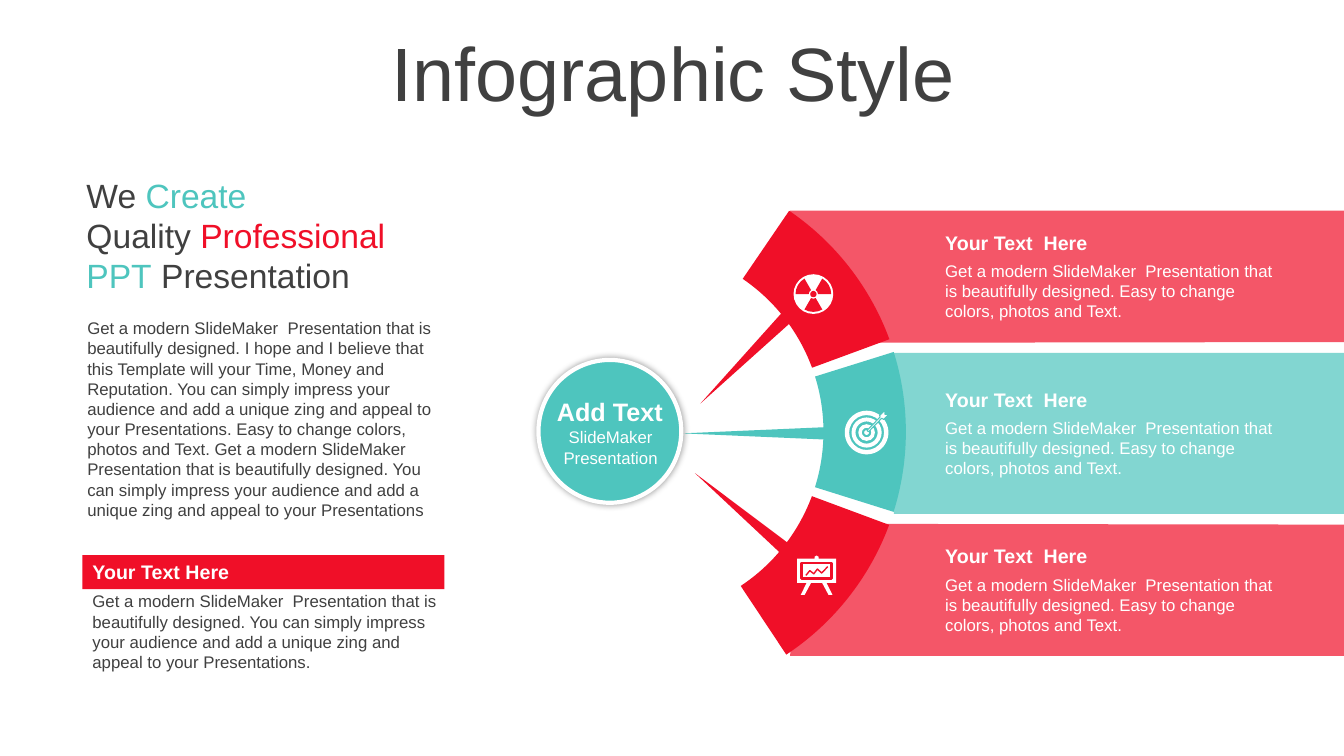
from dataclasses import dataclass
from math import cos, radians, sin

from lxml import etree
from pptx import Presentation
from pptx.dml.color import RGBColor
from pptx.enum.shapes import MSO_SHAPE
from pptx.enum.text import MSO_ANCHOR, PP_ALIGN
from pptx.oxml.ns import qn
from pptx.util import Cm, Pt

RECTANGLE, OVAL, DONUT = MSO_SHAPE.RECTANGLE, MSO_SHAPE.OVAL, MSO_SHAPE.DONUT
TRIANGLE, ARC = MSO_SHAPE.ISOSCELES_TRIANGLE, MSO_SHAPE.BLOCK_ARC
LEFT, CENTER = PP_ALIGN.LEFT, PP_ALIGN.CENTER
TOP, MIDDLE = MSO_ANCHOR.TOP, MSO_ANCHOR.MIDDLE


@dataclass(frozen=True)
class Theme:
    """Colours and type styles of the slide."""
    red: str = "F00F28"
    teal: str = "4EC5BE"
    ink: str = "404040"
    white: str = "FFFFFF"
    font: str = "Arial"
    title: int = 54
    headline: int = 24
    hub: int = 18
    heading: int = 14
    body: int = 12


THEME = Theme()
BAND_OPACITY = 70
SLIDE_WIDTH, SLIDE_HEIGHT = 33.87, 19.05
FAN_X, FAN_Y, FAN_RADIUS = 16.09, 10.88, 6.74

MODERN = "Get a modern SlideMaker  Presentation that is beautifully designed."
IMPRESS = ("You can simply impress your audience and add a unique zing "
           "and appeal to your Presentations")
EASY = "Easy to change colors, photos and Text."
STORY = (f"{MODERN} I hope and I believe that this Template will your Time, Money "
         f"and Reputation. {IMPRESS}. {EASY} {MODERN} {IMPRESS}")


def paint(shape, color, opacity=100):
    """Give a shape a flat fill without line or shadow."""
    shape.shadow.inherit = False
    shape.line.fill.background()
    shape.fill.solid()
    shape.fill.fore_color.rgb = RGBColor.from_string(color)
    if opacity < 100:
        tint = shape.fill._xPr.find(qn("a:solidFill"))[0]
        etree.SubElement(tint, qn("a:alpha"), val=str(opacity * 1000))
    return shape


def outline(shape, color, width):
    """Draw the outline of a shape."""
    shape.line.color.rgb = RGBColor.from_string(color)
    shape.line.width = Pt(width)


def preset(slide, kind, box, color, opacity=100):
    """Place a flat preset shape in a box."""
    shape = slide.shapes.add_shape(kind, *map(Cm, box))
    return paint(shape, color, opacity)


def disc(slide, kind, x, y, radius, color):
    """Place a round preset around a centre."""
    return preset(slide, kind, (x - radius, y - radius, 2 * radius, 2 * radius), color)


def arc(slide, x, y, radius, start, end, thickness, color):
    """Place a ring sector between two angles in degrees."""
    sector = disc(slide, ARC, x, y, radius, color)
    for index, value in enumerate((start * 0.6, end * 0.6, thickness)):
        sector.adjustments[index] = value


def outlined_path(slide, x, y, points, color, opacity=100, close=True):
    """Build a straight-edged outline from points relative to x, y."""
    first, *rest = [(Cm(x + dx), Cm(y + dy)) for dx, dy in points]
    builder = slide.shapes.build_freeform(*first)
    builder.add_line_segments(rest, close=close)
    return paint(builder.convert_to_shape(), color, opacity)


def write(frame, lines, size, color, bold=False, align=LEFT, anchor=TOP, spacing=1.0):
    """Fill a text frame with lines made of (text, colour) runs."""
    frame.word_wrap = True
    frame.vertical_anchor = anchor
    looks = {"name": THEME.font, "size": Pt(size), "bold": bold}
    for index, line in enumerate(lines):
        paragraph = frame.add_paragraph() if index else frame.paragraphs[0]
        paragraph.alignment, paragraph.line_spacing = align, spacing
        for words, tint in line:
            run = paragraph.add_run()
            run.text = words
            run.font.color.rgb = RGBColor.from_string(tint or color)
            for key, value in looks.items():
                setattr(run.font, key, value)


def label(slide, box, words, size, color, **options):
    """Add a one-paragraph text box."""
    frame = slide.shapes.add_textbox(*map(Cm, box)).text_frame
    write(frame, [[(words, None)]], size, color, **options)


def intro(slide, x, y):
    """Draw the left column: headline, story and captioned note."""
    headline = slide.shapes.add_textbox(Cm(x), Cm(y), Cm(9.2), Cm(3.07)).text_frame
    margins = {"margin_left": 0.1, "margin_right": 0.1, "margin_top": 0, "margin_bottom": 0}
    for key, value in margins.items():
        setattr(headline, key, Cm(value))
    write(headline, [[("We ", None), ("Create", THEME.teal)],
                     [("Quality ", None), ("Professional", THEME.red)],
                     [("PPT", THEME.teal), (" Presentation", None)]],
          THEME.headline, THEME.ink, anchor=MIDDLE)
    label(slide, (x - 0.13, y + 3.5, 9.2, 5.38), STORY, THEME.body, THEME.ink)
    label(slide, (x, y + 10.38, 9.2, 2.31), f"{MODERN} {IMPRESS}.", THEME.body, THEME.ink)
    caption = preset(slide, RECTANGLE, (x, y + 9.6, 9.12, 0.86), THEME.red)
    write(caption.text_frame, [[("Your Text Here", None)]],
          THEME.heading, THEME.white, bold=True)


def bands(slide, x, y):
    """Draw the three bands that run from the fan to the slide edge."""
    width = SLIDE_WIDTH - x
    for side in (-1, 1):
        corners = [(0, side * 5.61), (width, side * 5.61),
                   (width, side * 2.3), (0.36, side * 2.28)]
        outlined_path(slide, x, y, corners, THEME.red, BAND_OPACITY)
    preset(slide, RECTANGLE, (x + 2.62, y - 2.03, width - 2.62, 4.06),
           THEME.teal, BAND_OPACITY)


def spikes(slide):
    """Draw the pointers between the hub and the fan."""
    for x, y, length, angle, color in ((18.73, 9.09, 3.05, 225, THEME.red),
                                       (19.11, 10.92, 3.81, 270, THEME.teal),
                                       (18.68, 12.9, 3.05, 310, THEME.red)):
        box = (x - 0.165, y - length / 2, 0.33, length)
        preset(slide, TRIANGLE, box, color).rotation = angle


def hub(slide, x, y):
    """Draw the central disc with its glow and words."""
    center = disc(slide, OVAL, x, y, 1.8, THEME.teal)
    outline(center, THEME.white, 3)
    effects = center._element.spPr.find(qn("a:effectLst"))
    shadow = etree.SubElement(effects, qn("a:outerShdw"), blurRad=str(Pt(5)), dist="0")
    black = etree.SubElement(shadow, qn("a:srgbClr"), val="000000")
    etree.SubElement(black, qn("a:alpha"), val="40000")
    label(slide, (x - 1.75, y - 1.02, 3.5, 0.8), "Add Text", THEME.hub, THEME.white,
          bold=True, align=CENTER)
    label(slide, (x - 1.73, y - 0.23, 3.5, 1.28), "SlideMaker Presentation",
          THEME.body, THEME.white, align=CENTER)


def band_text(slide, x, y):
    """Write the heading and text of one band."""
    label(slide, (x, y, 9.04, 0.86), "Your Text  Here", THEME.heading, THEME.white, bold=True)
    label(slide, (x, y + 0.76, 9.04, 1.8), f"{MODERN} {EASY}", THEME.body, THEME.white)


def radiation_icon(slide, x, y):
    """Draw a trefoil disc around a centre."""
    disc(slide, OVAL, x, y, 0.5, THEME.white)
    for start in (60, 180, 300):
        arc(slide, x, y, 0.45, start, start + 60, 0.37, THEME.red)
    disc(slide, OVAL, x, y, 0.08, THEME.red)


def target_icon(slide, x, y):
    """Draw a ringed target hit by an arrow."""
    for radius, thickness in ((0.55, 0.11), (0.38, 0.1), (0.21, 0.09)):
        ring = disc(slide, DONUT, x, y, radius, THEME.white)
        ring.adjustments[0] = thickness / (2 * radius)
    disc(slide, OVAL, x, y, 0.06, THEME.white)
    dart = [(0.46, -0.56), (0.46, -0.46), (0.56, -0.46), (0.43, -0.33), (0.38, -0.36),
            (0.05, -0.02), (0.01, -0.05), (0.34, -0.39), (0.33, -0.43)]
    outline(outlined_path(slide, x, y, dart, THEME.white), THEME.teal, 0.75)


def easel_icon(slide, x, y):
    """Draw a chart board on a stand around a centre line."""
    half = [(0.05, 0.03), (0.05, 0.08), (0.49, 0.08), (0.49, 0.69),
            (0.25, 0.69), (0.4, 0.99), (0.3, 0.99), (0.14, 0.69)]
    mirrored = [(-dx, dy) for dx, dy in reversed(half)]
    outlined_path(slide, x, y, [(0, 0), *half, *mirrored], THEME.white)
    board = preset(slide, RECTANGLE, (x - 0.38, y + 0.19, 0.76, 0.39), THEME.white)
    outline(board, THEME.red, 2)
    trend = [(-0.27, 0.5), (-0.17, 0.38), (-0.07, 0.46), (0.02, 0.34), (0.13, 0.44), (0.28, 0.28)]
    line = outlined_path(slide, x, y, trend, THEME.red, close=False)
    line.fill.background()
    outline(line, THEME.red, 1)


def fan(slide, x, y):
    """Draw the three ring sectors and their icons."""
    for start, end, color in ((304.3, 339.77, THEME.red), (342.65, 17.43, THEME.teal),
                              (20.38, 56.44, THEME.red)):
        arc(slide, x, y, FAN_RADIUS, start, end, 0.154, color)
    angle = radians(-38.2)
    radiation_icon(slide, x + 5.61 * cos(angle), y + 5.61 * sin(angle))
    target_icon(slide, x + 5.75, y + 0.02)
    easel_icon(slide, x + 4.49, y + 3.12)


def infographic(slide):
    """Compose the whole slide."""
    label(slide, (0.89, 0.94, 32.16, 2), "Infographic Style", THEME.title, THEME.ink,
          align=CENTER, anchor=MIDDLE, spacing=0.9)
    bands(slide, 19.91, 10.92)
    spikes(slide)
    hub(slide, 15.37, 10.87)
    for row in range(3):
        band_text(slide, 23.57, 5.69 + 3.95 * row)
    intro(slide, 2.08, 4.39)
    fan(slide, FAN_X, FAN_Y)


def main():
    """Build and save the presentation."""
    deck = Presentation()
    deck.slide_width, deck.slide_height = Cm(SLIDE_WIDTH), Cm(SLIDE_HEIGHT)
    infographic(deck.slides.add_slide(deck.slide_layouts[6]))
    deck.save("out.pptx")


if __name__ == "__main__":
    main()
